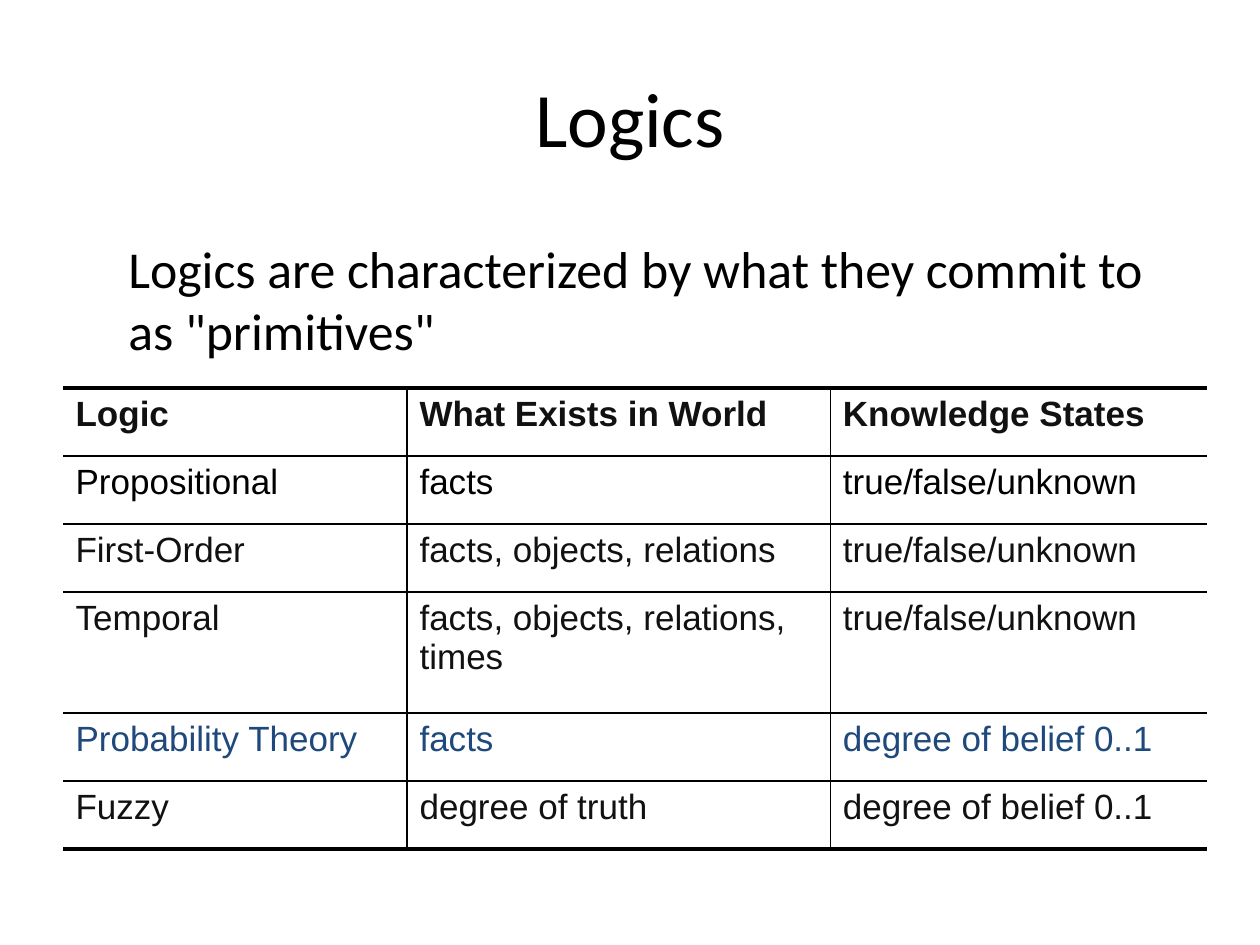
import pptx
import pptx.util
import pptx.dml.color
import pptx.enum.text
import pptx.oxml.ns
from lxml import etree

Inches = pptx.util.Inches
Pt = pptx.util.Pt
RGBColor = pptx.dml.color.RGBColor
PP_ALIGN = pptx.enum.text.PP_ALIGN
MSO_ANCHOR = pptx.enum.text.MSO_ANCHOR
qn = pptx.oxml.ns.qn

BLACK = RGBColor(0x00, 0x00, 0x00)
CHARCOAL = RGBColor(0x11, 0x11, 0x11)
NAVY = RGBColor(0x1F, 0x49, 0x7D)

COLUMN_WIDTHS = (2.73, 3.36, 2.99)
ROW_HEIGHT = 0.54
TALL_ROW_HEIGHT = 0.96
THIN, THICK = 1, 2.25

# Cell texts of each row, with the row's colour
LOGICS = [
    (("Logic", "What Exists in World", "Knowledge States"), CHARCOAL),
    (("Propositional", "facts", "true/false/unknown"), BLACK),
    (("First-Order", "facts, objects, relations", "true/false/unknown"), CHARCOAL),
    (("Temporal", "facts, objects, relations, times", "true/false/unknown"), CHARCOAL),
    (("Probability Theory", "facts", "degree of belief 0..1"), NAVY),
    (("Fuzzy", "degree of truth", "degree of belief 0..1"), CHARCOAL),
]
TALL_ROW = 3


def write_text(frame, text, font_name, size, color, bold=False):
    frame.text = text
    font = frame.paragraphs[0].runs[0].font
    font.name = font_name
    font.size = Pt(size)
    font.color.rgb = color
    font.bold = bold


def add_text(slide, text, left, top, width, height, size):
    frame = slide.shapes.add_textbox(
        Inches(left), Inches(top), Inches(width), Inches(height)).text_frame
    frame.word_wrap = True
    write_text(frame, text, "Calibri", size, BLACK)
    return frame


def set_border(cell, side, width):
    """Draw one side of a cell; a width of 0 leaves that side open."""
    properties = cell._tc.get_or_add_tcPr()
    line = etree.SubElement(properties, qn(f"a:ln{side}"), w=str(int(Pt(width))))
    if width:
        fill = etree.SubElement(line, qn("a:solidFill"))
        etree.SubElement(fill, qn("a:srgbClr"), val=str(BLACK))
    else:
        etree.SubElement(line, qn("a:noFill"))


def add_logic_table(slide):
    row_count, column_count = len(LOGICS), len(COLUMN_WIDTHS)
    heights = [TALL_ROW_HEIGHT if i == TALL_ROW else ROW_HEIGHT
               for i in range(row_count)]
    table = slide.shapes.add_table(
        row_count, column_count, Inches(0.5), Inches(3.08),
        Inches(sum(COLUMN_WIDTHS)), Inches(sum(heights))).table
    table.first_row = False
    table.horz_banding = False
    for column, width in zip(table.columns, COLUMN_WIDTHS):
        column.width = Inches(width)

    for i, (texts, color) in enumerate(LOGICS):
        table.rows[i].height = Inches(heights[i])
        for j, text in enumerate(texts):
            cell = table.cell(i, j)
            write_text(cell.text_frame, text, "Arial", 20, color, bold=i == 0)
            # Open at the left and right, heavy rules at top and bottom
            set_border(cell, "L", THIN if j > 0 else 0)
            set_border(cell, "R", THIN if j < column_count - 1 else 0)
            set_border(cell, "T", THIN if i > 0 else THICK)
            set_border(cell, "B", THIN if i < row_count - 1 else THICK)
            cell.fill.background()


def main():
    presentation = pptx.Presentation()
    presentation.slide_width = Inches(10)
    presentation.slide_height = Inches(7.5)
    slide = presentation.slides.add_slide(presentation.slide_layouts[6])

    # Title
    title = add_text(slide, "Logics", 0.5, 0.3, 9, 1.25, 44)
    title.vertical_anchor = MSO_ANCHOR.MIDDLE
    title.paragraphs[0].alignment = PP_ALIGN.CENTER

    # Statement
    add_text(slide, 'Logics are characterized by what they commit to as "primitives"',
             0.92, 1.83, 8.5, 0.92, 29.6)

    # Comparison of logics
    add_logic_table(slide)

    presentation.save("out.pptx")


if __name__ == "__main__":
    main()
